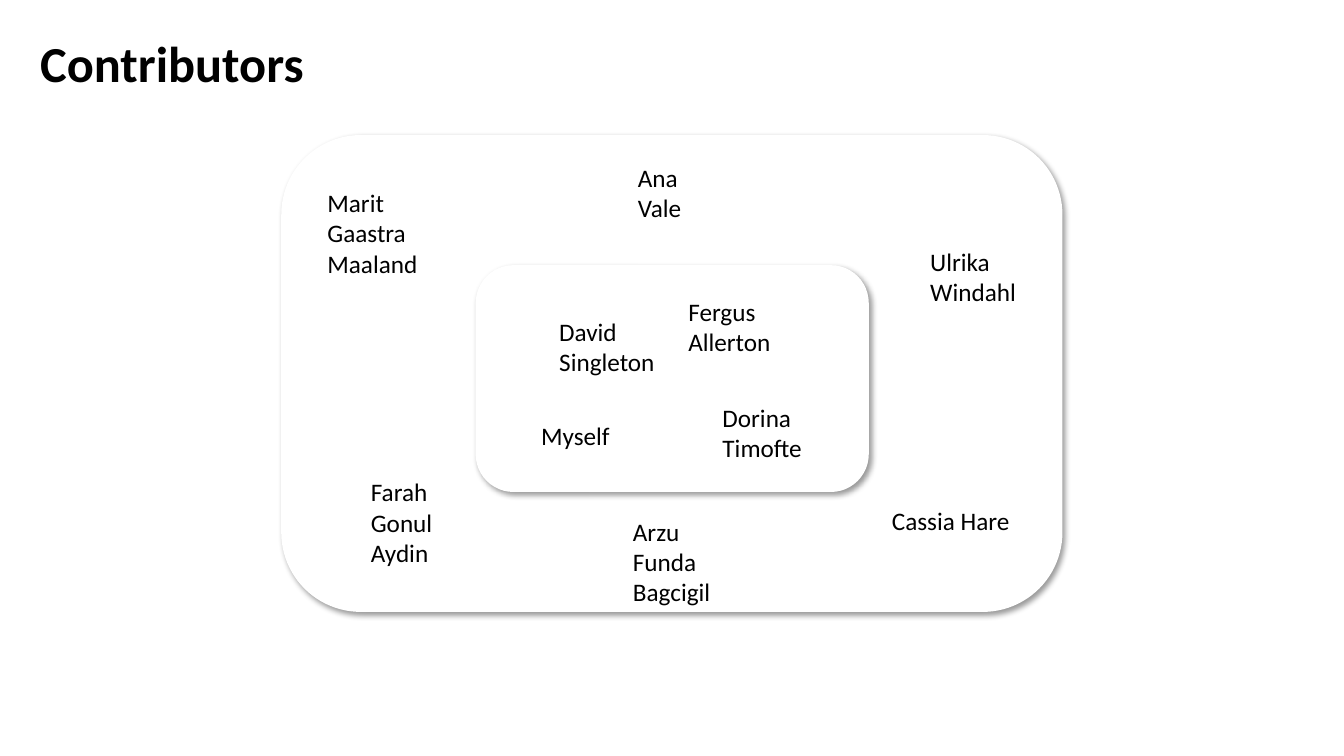
from lxml.etree import SubElement
from pptx import Presentation
from pptx.dml.color import RGBColor
from pptx.enum.shapes import MSO_SHAPE
from pptx.enum.text import MSO_AUTO_SIZE
from pptx.oxml.ns import qn
from pptx.util import Pt


def color(value):
    return RGBColor.from_string(value)


def add_text(left, top, width, height, text, size=18, bold=False):
    box = slide.shapes.add_textbox(Pt(left), Pt(top), Pt(width), Pt(height))
    frame = box.text_frame
    frame.word_wrap = False
    frame.auto_size = MSO_AUTO_SIZE.SHAPE_TO_FIT_TEXT
    frame.text = text
    for paragraph in frame.paragraphs:
        paragraph.font.name = "Calibri"
        paragraph.font.size = Pt(size)
        paragraph.font.bold = bold
        paragraph.font.color.rgb = color("000000")


presentation = Presentation()
presentation.slide_width = Pt(960)
presentation.slide_height = Pt(540)
slide = presentation.slides.add_slide(presentation.slide_layouts[6])

circles = [
    (200.9, 96.5, 558, 340.6),
    (339.8, 189.4, 280.8, 162),
]
for left, top, width, height in circles:
    shape = slide.shapes.add_shape(
        MSO_SHAPE.ROUNDED_RECTANGLE, Pt(left), Pt(top), Pt(width), Pt(height))
    shape.fill.solid()
    shape.fill.fore_color.rgb = color("FFFFFF")
    shape.line.fill.background()
    shape.shadow.inherit = False
    effects = shape.element.spPr.find(qn("a:effectLst"))
    shadow = SubElement(effects, qn("a:outerShdw"), blurRad=str(Pt(4)), dist=str(Pt(3)),
                        dir="2700000", algn="tl", rotWithShape="0")
    shade = SubElement(shadow, qn("a:srgbClr"), val="000000")
    SubElement(shade, qn("a:alpha"), val="40000")

add_text(21.6, 19.4, 205.2, 50.9, "Contributors", size=36, bold=True)

contributors = [
    (226.8, 130.3, 79.2, "Marit\nGaastra\nMaaland"),
    (379.4, 296.6, 64.1, "Myself"),
    (484.6, 208.1, 74.2, "Fergus\nAllerton"),
    (509, 283.7, 72, "Dorina\nTimofte"),
    (392.4, 222.5, 83.5, "David\nSingleton"),
    (257.8, 337, 59, "Farah\nGonul\nAydin"),
    (448.6, 112.3, 46.1, "Ana\nVale"),
    (657.4, 172.1, 76.3, "Ulrika\nWindahl"),
    (630, 357.1, 100.8, "Cassia Hare"),
    (445, 365, 70.6, "Arzu\nFunda\nBagcigil"),
]
for left, top, width, name in contributors:
    line_count = name.count("\n") + 1
    add_text(left, top, width, 7.2 + 21.8 * line_count, name)

presentation.save("out.pptx")
